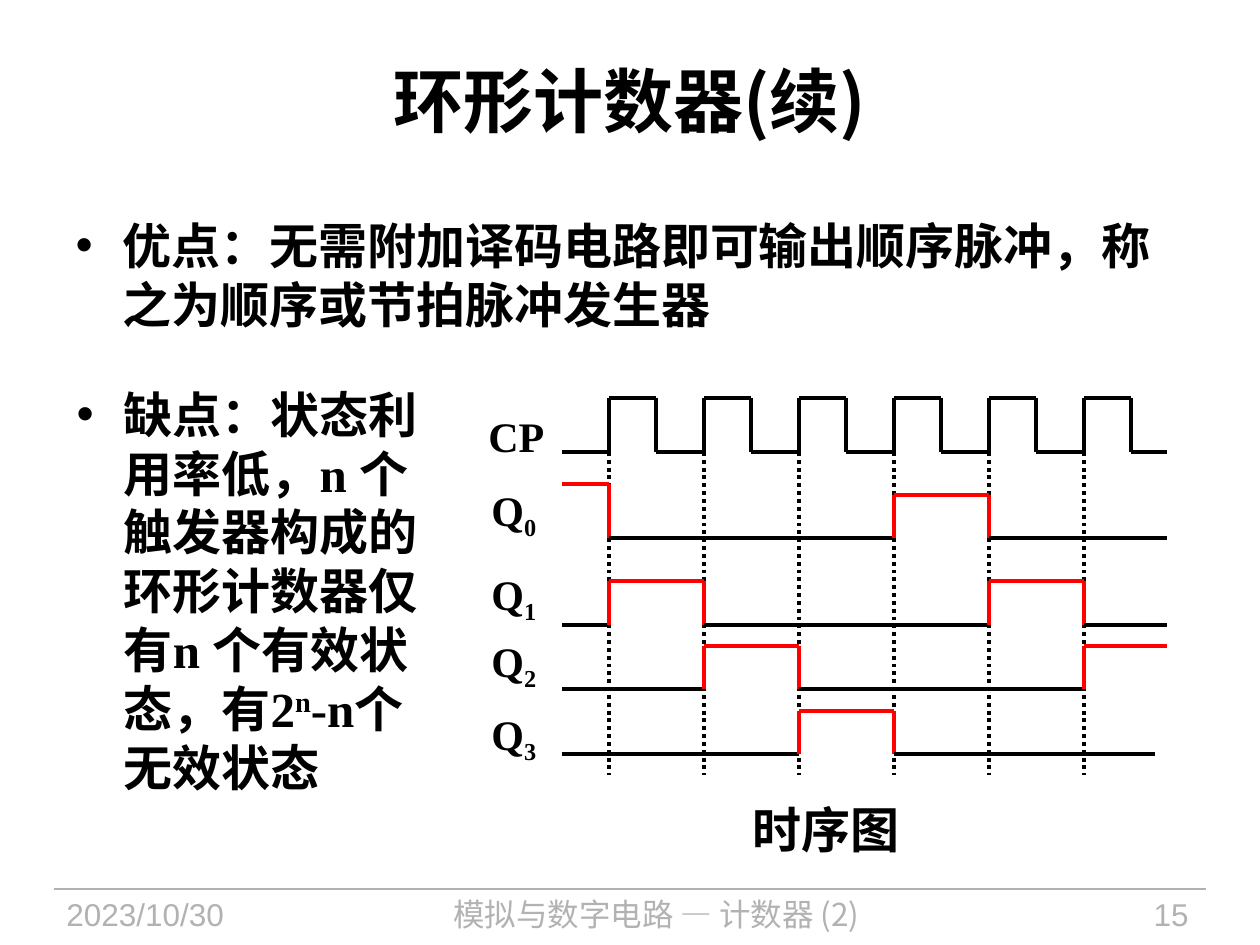
from dataclasses import dataclass

from lxml import etree
from pptx import Presentation
from pptx import util as u
from pptx.dml.color import RGBColor
from pptx.enum import dml, shapes, text
from pptx.oxml.ns import qn

PX = 914400 // 126


@dataclass(frozen=True)
class Theme:
    ink = RGBColor(0, 0, 0)
    pulse = RGBColor(255, 0, 0)
    muted = RGBColor(0xB2, 0xB2, 0xB2)
    serif = "Times New Roman"
    sans = "Arial"
    cjk = "Noto Sans CJK SC"
    title = 40
    body = 28
    label = 24
    footer = 18


theme = Theme()


def write(holder, box, runs, size, font=theme.serif, color=theme.ink, bold=True,
          align=None, anchor=text.MSO_ANCHOR.TOP, wrap=True):
    """Place holder at box (px) and fill it with (wording, baseline percent) runs."""
    holder.left, holder.top, holder.width, holder.height = (v * PX for v in box)
    frame = holder.text_frame
    frame.word_wrap, frame.vertical_anchor = wrap, anchor
    frame.auto_size = text.MSO_AUTO_SIZE.NONE
    paragraph = frame.paragraphs[0]
    paragraph.alignment = align
    style = paragraph.font
    style.name, style.size, style.bold = font, u.Pt(size), bold
    style.color.rgb = color
    for wording, baseline in runs:
        run = paragraph.add_run()
        run.text = wording
        if baseline:
            run.font._element.set("baseline", str(baseline * 1000))
    return paragraph


def draw_line(x1, y1, x2, y2, color=theme.ink, weight=2.25, dash=None):
    line = slide.shapes.add_connector(
        shapes.MSO_CONNECTOR.STRAIGHT, x1 * PX, y1 * PX, x2 * PX, y2 * PX)
    line.line.color.rgb = color
    line.line.width = u.Pt(weight)
    if dash:
        line.line.dash_style = dash
    etree.SubElement(line._element.spPr, qn("a:effectLst"))


deck = Presentation()
deck.slide_width, deck.slide_height = 1260 * PX, 945 * PX
slide = deck.slides.add_slide(deck.slide_layouts.get_by_name("Two Content"))
heading, advantage, drawback = slide.placeholders

# Footer
draw_line(54, 889, 1206, 889, theme.muted, 0.75)
for wording, left, width, font, align in (
    ("2023/10/30", 54, 237, theme.sans, text.PP_ALIGN.LEFT),
    ("模拟与数字电路 — 计数器 (2)", 302, 709, theme.cjk, text.PP_ALIGN.CENTER),
    ("15", 1033, 168, theme.sans, text.PP_ALIGN.RIGHT),
):
    write(slide.shapes.add_textbox(0, 0, 0, 0), (left, 889, width, 56), [(wording, 0)],
          theme.footer, font, theme.muted, False, align)

# Title and bullets
title = write(heading, (63, 21, 1134, 158), [("环形计数器", 0), ("(续)", 0)], theme.title,
              align=text.PP_ALIGN.CENTER, anchor=text.MSO_ANCHOR.MIDDLE)
title.runs[1].font.name = theme.cjk
write(advantage, (63, 209, 1134, 159),
      [("优点：无需附加译码电路即可输出顺序脉冲，称之为顺序或节拍脉冲发生器", 0)], theme.body)
write(drawback, (64, 378, 397, 501),
      [("缺点：状态利用率低，n 个触发器构成的环形计数器仅有n 个有效状态，有2", 0),
       ("n", 30), ("-n个无效状态", 0)], theme.body)

# Clock: rises at every edge, falls half a period later
start, end, period = 562, 1167, 95
edges = [609 + period * k for k in range(6)]
clock_high, clock_low = 398, 452
x = start
for rise in edges:
    fall = rise + period // 2
    draw_line(x, clock_low, rise, clock_low)
    draw_line(rise, clock_low, rise, clock_high)
    draw_line(rise, clock_high, fall, clock_high)
    draw_line(fall, clock_high, fall, clock_low)
    x = fall
draw_line(x, clock_low, end, clock_low)

for rise in edges:
    draw_line(rise, clock_low, rise, 775, dash=dml.MSO_LINE.ROUND_DOT)

# Outputs: Q0 to Q3 take turns being high for one clock period
for stage, (high, low, stop) in enumerate(
        ((495, 538, end), (581, 625, end), (646, 689, end), (711, 754, 1155))):
    bounds = [start, *edges, stop]
    for k, (left, right) in enumerate(zip(bounds, bounds[1:])):
        if k % 4 != stage:
            draw_line(left, low, right, low)
            continue
        top = 484 if k == 0 else high
        draw_line(left, top, right, top, theme.pulse)
        if left != start:
            draw_line(left, low, left, top, theme.pulse)
        if right != stop:
            draw_line(right, top, right, low, theme.pulse)

# Signal names and caption
write(slide.shapes.add_textbox(0, 0, 0, 0), (476, 404, 82, 63), [("CP", 0)],
      theme.label, wrap=False)
for stage, top in enumerate((478, 562, 629, 702)):
    write(slide.shapes.add_textbox(0, 0, 0, 0), (479, top, 72, 63),
          [("Q", 0), (str(stage), -25)], theme.label, wrap=False)
write(slide.shapes.add_textbox(0, 0, 0, 0), (740, 793, 172, 72), [("时序图", 0)],
      theme.body, theme.sans, align=text.PP_ALIGN.CENTER, wrap=False)

deck.save("out.pptx")
